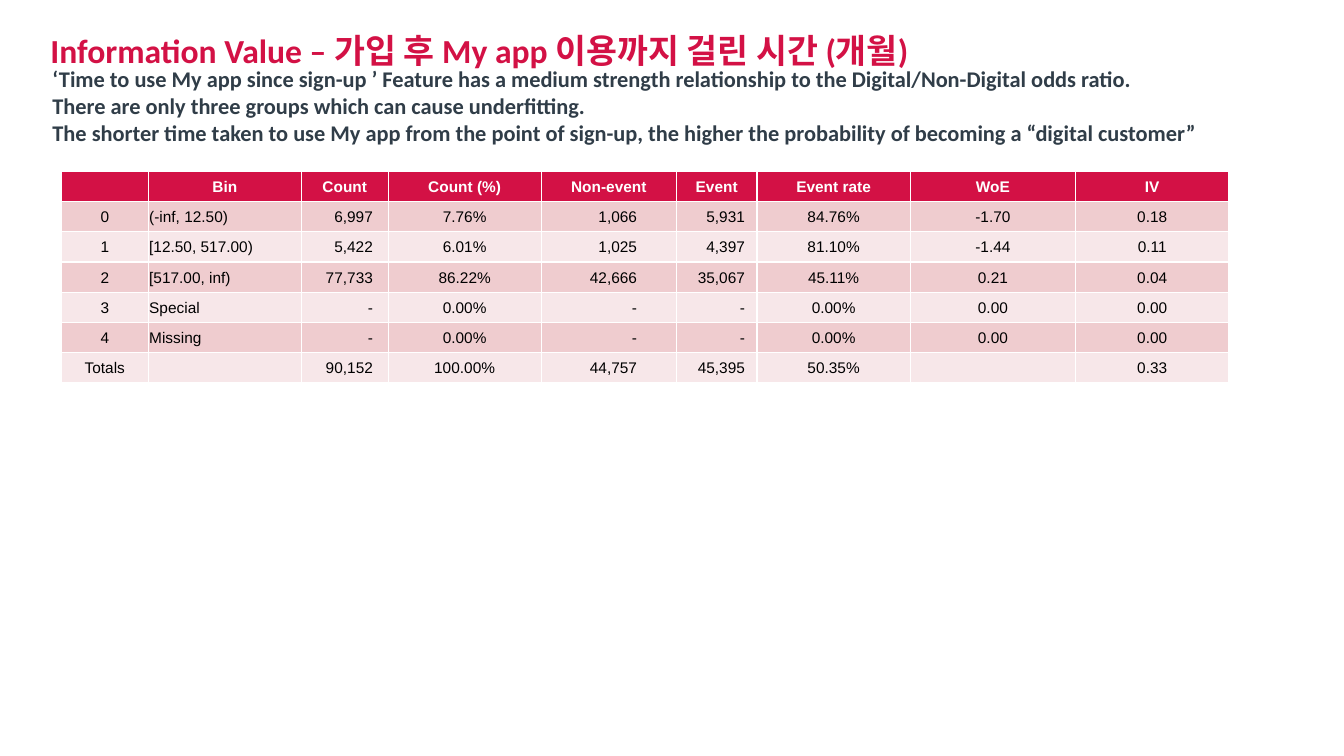
from dataclasses import dataclass

from pptx import Presentation
from pptx.dml.color import RGBColor
from pptx.enum.text import MSO_ANCHOR, MSO_AUTO_SIZE, PP_ALIGN
from pptx.slide import Slide
from pptx.table import _Cell as Cell
from pptx.text.text import Font, TextFrame
from pptx.util import Inches, Pt

CRIMSON = RGBColor(0xD3, 0x11, 0x45)
SLATE = RGBColor(0x30, 0x3D, 0x48)
ROSE = RGBColor(0xEF, 0xCC, 0xCF)
BLUSH = RGBColor(0xF7, 0xE7, 0xE9)
WHITE = RGBColor(0xFF, 0xFF, 0xFF)
BLACK = RGBColor(0x00, 0x00, 0x00)

HEADLINE = "Information Value – 가입 후 My app 이용까지 걸린 시간 (개월)"
FINDINGS = (
    "‘Time to use My app since sign-up ’ Feature has a medium strength relationship"
    " to the Digital/Non-Digital odds ratio.",
    "There are only three groups which can cause underfitting.",
    "The shorter time taken to use My app from the point of sign-up, the higher"
    " the probability of becoming a “digital customer”",
)


@dataclass(frozen=True)
class Column:
    heading: str
    width: float
    align: PP_ALIGN = PP_ALIGN.CENTER
    right_margin: float = 0.01


COLUMNS = (
    Column("", 0.86),
    Column("Bin", 1.52, PP_ALIGN.LEFT),
    Column("Count", 0.86, PP_ALIGN.RIGHT, 0.15),
    Column("Count (%)", 1.52),
    Column("Non-event", 1.34, PP_ALIGN.RIGHT, 0.39),
    Column("Event", 0.8, PP_ALIGN.RIGHT, 0.12),
    Column("Event rate", 1.52),
    Column("WoE", 1.64),
    Column("IV", 1.52),
)
BINS = (
    ("0", "(-inf, 12.50)", "6,997", "7.76%", "1,066", "5,931", "84.76%", "-1.70", "0.18"),
    ("1", "[12.50, 517.00)", "5,422", "6.01%", "1,025", "4,397", "81.10%", "-1.44", "0.11"),
    ("2", "[517.00, inf)", "77,733", "86.22%", "42,666", "35,067", "45.11%", "0.21", "0.04"),
    ("3", "Special", "-", "0.00%", "-", "-", "0.00%", "0.00", "0.00"),
    ("4", "Missing", "-", "0.00%", "-", "-", "0.00%", "0.00", "0.00"),
    ("Totals", "", "90,152", "100.00%", "44,757", "45,395", "50.35%", "", "0.33"),
)
ROW_HEIGHT = 0.3


def style_font(font: Font, name: str, size: float, color: RGBColor, bold: bool) -> None:
    font.name = name
    font.size = Pt(size)
    font.bold = bold
    font.color.rgb = color


def fill_frame(frame: TextFrame, text: str, size: float, color: RGBColor) -> None:
    """Put bold, left-aligned text at the top of a frame without margins."""
    frame.text = text
    frame.word_wrap = True
    frame.auto_size = MSO_AUTO_SIZE.NONE
    frame.vertical_anchor = MSO_ANCHOR.TOP
    frame.margin_left = frame.margin_right = frame.margin_top = frame.margin_bottom = 0
    for paragraph in frame.paragraphs:
        paragraph.alignment = PP_ALIGN.LEFT
        for run in paragraph.runs:
            style_font(run.font, "Calibri", size, color, True)


def add_headline(slide: Slide) -> None:
    title = slide.shapes.title
    title.left, title.top = Inches(0.5), Inches(0.2)
    title.width, title.height = Inches(11.92), Inches(0.45)
    fill_frame(title.text_frame, HEADLINE, 24, CRIMSON)
    paragraph = title.text_frame.paragraphs[0]
    paragraph.line_spacing = 1.25
    paragraph.space_before = Pt(12)


def add_findings(slide: Slide) -> None:
    box = slide.shapes.add_textbox(Inches(0.52), Inches(0.65), Inches(11.75), Inches(0.8))
    fill_frame(box.text_frame, "\n".join(FINDINGS), 16, SLATE)


def fill_cell(cell: Cell, text: str, background: RGBColor, color: RGBColor,
              bold: bool, align: PP_ALIGN, right_margin: float) -> None:
    cell.fill.solid()
    cell.fill.fore_color.rgb = background
    cell.vertical_anchor = MSO_ANCHOR.MIDDLE
    cell.margin_left = cell.margin_top = Inches(0.01)
    cell.margin_right, cell.margin_bottom = Inches(right_margin), 0
    paragraph = cell.text_frame.paragraphs[0]
    paragraph.alignment = align
    run = paragraph.add_run()
    run.text = text
    style_font(run.font, "Arial", 11, color, bold)


def add_bin_table(slide: Slide) -> None:
    row_count = len(BINS) + 1
    total_width = sum(column.width for column in COLUMNS)
    table = slide.shapes.add_table(
        row_count, len(COLUMNS), Inches(0.61), Inches(1.7),
        Inches(total_width), Inches(ROW_HEIGHT * row_count),
    ).table
    for row in table.rows:
        row.height = Inches(ROW_HEIGHT)
    for c, column in enumerate(COLUMNS):
        table.columns[c].width = Inches(column.width)
        fill_cell(table.cell(0, c), column.heading, CRIMSON, WHITE, True,
                  PP_ALIGN.CENTER, 0.01)
        for r, values in enumerate(BINS, start=1):
            fill_cell(table.cell(r, c), values[c], ROSE if r % 2 else BLUSH, BLACK,
                      False, column.align, column.right_margin)


def main() -> None:
    presentation = Presentation()
    presentation.slide_width, presentation.slide_height = Inches(13.33), Inches(7.5)
    slide = presentation.slides.add_slide(presentation.slide_layouts.get_by_name("Title Only"))
    add_headline(slide)
    add_bin_table(slide)
    add_findings(slide)
    presentation.save("out.pptx")


if __name__ == "__main__":
    main()
